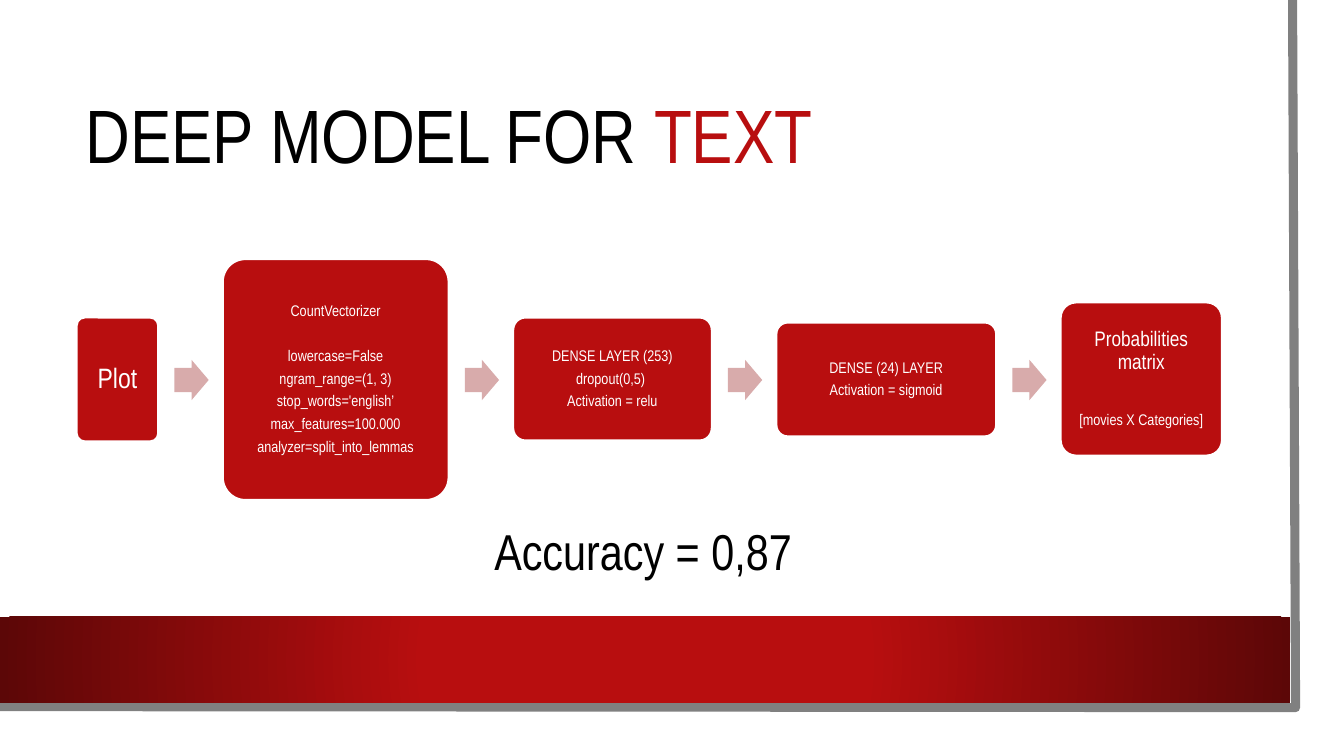
from lxml import etree
from pptx import Presentation
from pptx.dml.color import RGBColor
from pptx.enum.shapes import MSO_SHAPE as SHAPE
from pptx.enum.text import MSO_ANCHOR as ANCHOR, PP_ALIGN as ALIGN
from pptx.oxml import parse_xml
from pptx.oxml.ns import nsdecls
from pptx.util import Pt

PX = 9144
RED, DARK, PINK = "B80E0F", "5C0707", "D8ABAB"
BLACK, WHITE, GREY = "000000", "FFFFFF", "808080"
GAP = 64

# Width, height, inset and lines of each step; a line is text, size, space before
STEPS = [
    (81, 123, 8, [("Plot", 20, 0)]),
    (224, 239, 5, [("CountVectorizer", 11, 0),
                   ("lowercase=False", 11, 15.7),
                   ("ngram_range=(1, 3)", 11, 0),
                   ("stop_words='english’", 11, 0),
                   ("max_features=100.000", 11, 0),
                   ("analyzer=split_into_lemmas", 11, 0)]),
    (197, 122, 5, [("DENSE LAYER (253)", 11, 0),
                   ("dropout(0,5) ", 11, 0),
                   ("Activation = relu", 11, 0)]),
    (218, 113, 5, [("DENSE (24) LAYER", 11, 0),
                   ("Activation = sigmoid", 11, 0)]),
    (160, 152, 6, [("Probabilities matrix", 15, 0),
                   ("[movies X Categories]", 11, 21.5)]),
]


def px(*sizes):
    return [size * PX for size in sizes]


def color(code):
    return RGBColor.from_string(code)


def shape(slide, kind, box, fill, line=None):
    item = slide.shapes.add_shape(kind, *px(*box))
    item.shadow.inherit = False
    item.fill.solid()
    item.fill.fore_color.rgb = color(fill)
    if line:
        item.line.color.rgb = color(line)
        item.line.width = Pt(1.5)
    else:
        item.line.fill.background()
    return item


def write(para, text, size=11, fill=BLACK, align=ALIGN.CENTER,
          lead=None, before=0, after=0):
    """Add a run to the paragraph and set the paragraph's format."""
    para.alignment = align
    if lead:
        para.line_spacing = lead
    if before:
        para.space_before = Pt(before)
    para.space_after = Pt(after)
    run = para.add_run()
    run.text = text
    run.font.name = "Arial Narrow"
    run.font.size = Pt(size)
    run.font.color.rgb = color(fill)


def frame(slide, box):
    """Draw the sheet, its grey edge and the red band."""
    left, top, width, height = box
    shape(slide, SHAPE.RECTANGLE, box, WHITE)
    right, base = left + width - 25, top + height - 25
    path = slide.shapes.build_freeform(right - 3, top, scale=PX)
    path.add_line_segments([(right, base), (left, base - 1)], close=False)
    edge = path.convert_to_shape()
    edge.shadow.inherit = False
    edge.fill.background()
    edge.line.color.rgb = color(GREY)
    edge.line.width = Pt(6.5)
    band = shape(slide, SHAPE.RECTANGLE,
                 (left, base - 90, width - 30, 85), RED)
    stops = "".join(
        f'<a:gs pos="{spot}000"><a:srgbClr val="{code}"/></a:gs>'
        for spot, code in ((34, RED), (100, DARK)))
    grad = parse_xml(
        f'<a:gradFill {nsdecls("a")} rotWithShape="1"><a:gsLst>{stops}</a:gsLst>'
        '<a:path path="circle"><a:fillToRect l="50000" t="50000" '
        'r="50000" b="50000"/></a:path></a:gradFill>')
    props = band.fill._xPr
    solid = props.find("{*}solidFill")
    props.replace(solid, grad)


def title(slide, box):
    text = slide.shapes.add_textbox(*px(*box)).text_frame
    text.word_wrap = True
    text.vertical_anchor = ANCHOR.MIDDLE
    para = text.paragraphs[0]
    for words, fill in (("DEEP MODEL FOR ", BLACK), ("TEXT", RED)):
        write(para, words, size=54, fill=fill, align=ALIGN.LEFT, lead=0.9)


def step(slide, box, inset, lines):
    card = shape(slide, SHAPE.ROUNDED_RECTANGLE, box, RED, line=WHITE)
    card.adjustments[0] = 0.1
    text = card.text_frame
    text.word_wrap = True
    text.vertical_anchor = ANCHOR.MIDDLE
    text.margin_left = text.margin_right = inset * PX
    text.margin_top = text.margin_bottom = inset * PX
    for i, (words, size, before) in enumerate(lines):
        para = text.add_paragraph() if i else text.paragraphs[0]
        write(para, words, size=size, fill=WHITE, lead=0.9,
              before=before, after=round(size * 0.39, 1))


def flow(slide, box):
    """Set the steps in a row, centred on the box, with arrows between."""
    left, top, _, height = box
    mid = top + height // 2
    for i, (wide, high, inset, lines) in enumerate(STEPS):
        if i:
            arrow = shape(slide, SHAPE.RIGHT_ARROW,
                          (left - GAP + 16, mid - 19, 34, 40), PINK)
            arrow.adjustments[0] = 0.6
        step(slide, (left, mid - high // 2, wide, high), inset, lines)
        left += wide + GAP


def result(slide, box):
    text = slide.shapes.add_textbox(*px(*box)).text_frame
    text.word_wrap = False
    write(text.paragraphs[0], "Accuracy = 0,87 ", size=36)


def main():
    deck = Presentation()
    deck.slide_width, deck.slide_height = px(1333, 750)
    slide = deck.slides.add_slide(deck.slide_layouts[6])
    frame(slide, (0, 0, 1310, 727))
    title(slide, (75, 75, 1137, 126))
    flow(slide, (76, 257, 1136, 239))
    result(slide, (469, 511, 349, 71))
    deck.save("out.pptx")


if __name__ == "__main__":
    main()
